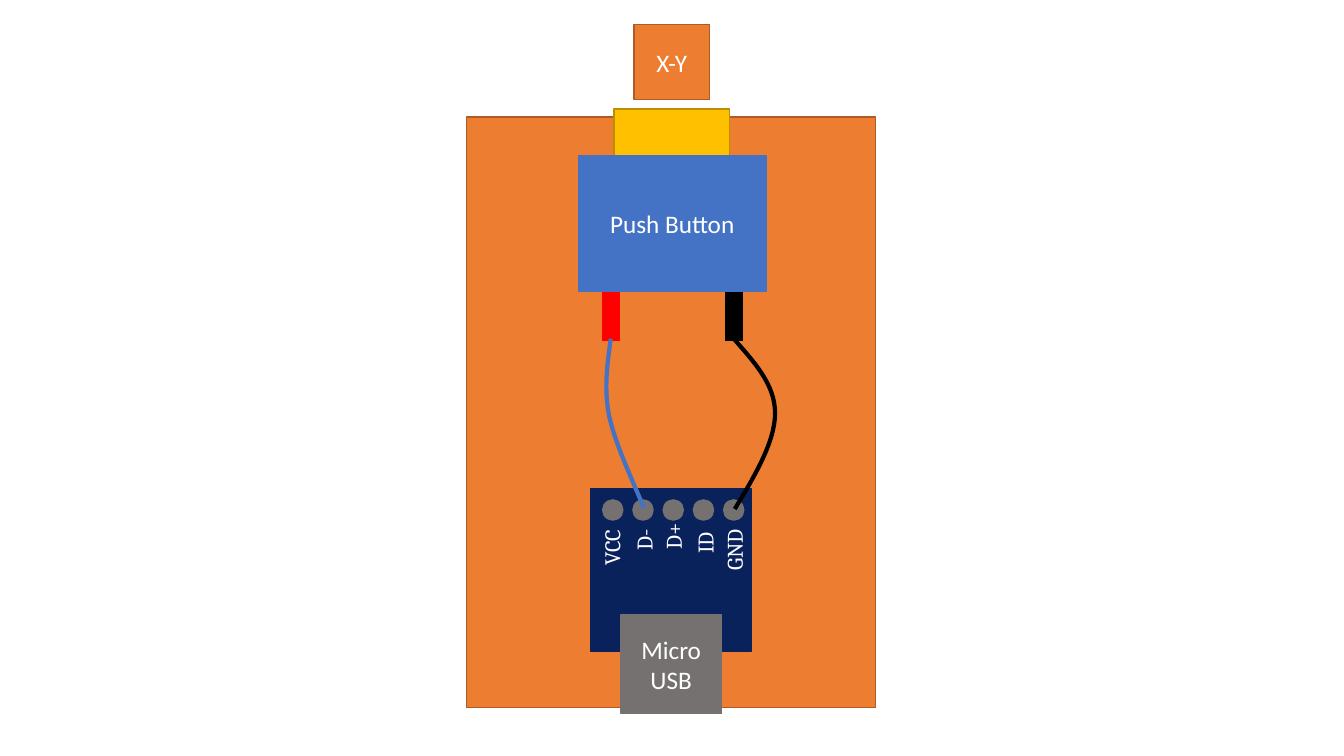
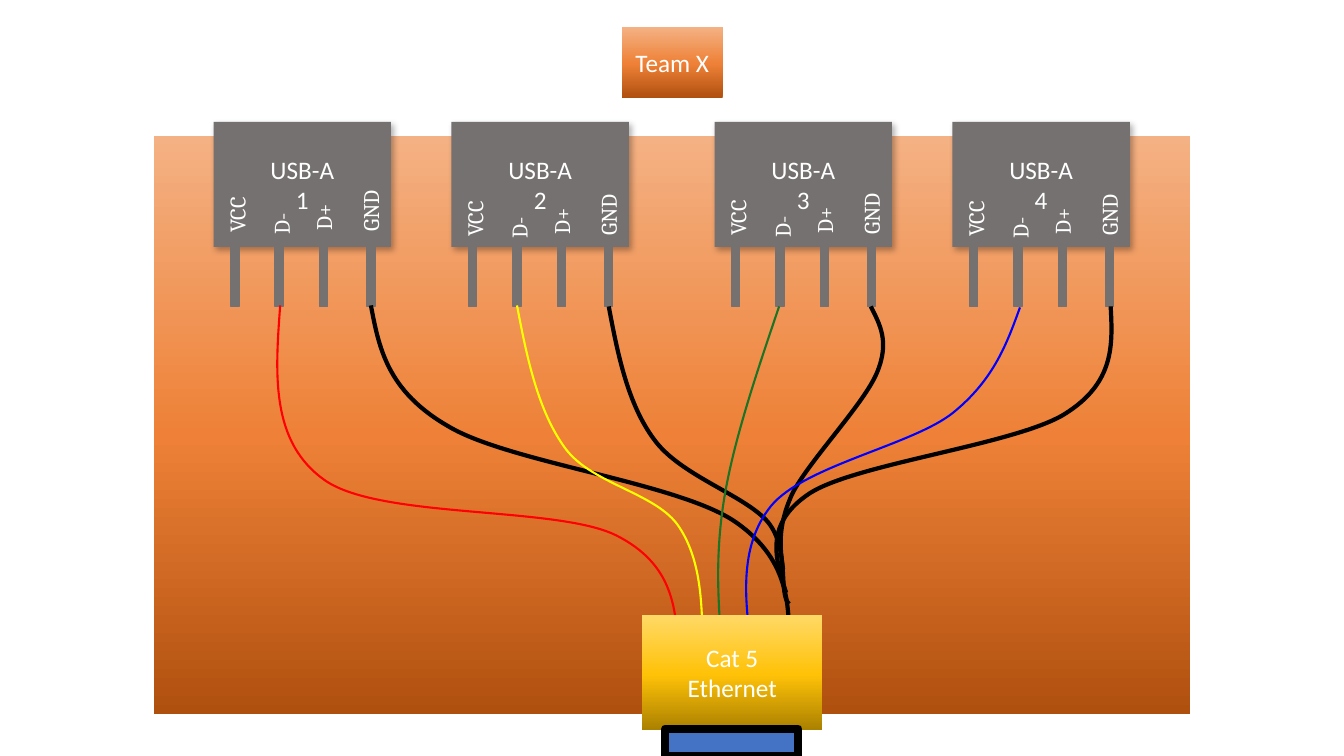
from copy import deepcopy

from lxml import etree
from pptx import Presentation
from pptx import util as u
from pptx.dml.color import RGBColor
from pptx.enum import shapes, text
from pptx.oxml.ns import qn

# Colours
WHITE = RGBColor(0xFF, 0xFF, 0xFF)
BLACK = RGBColor(0x00, 0x00, 0x00)
RED = RGBColor(0xFF, 0x00, 0x00)
YELLOW = RGBColor(0xFF, 0xFF, 0x00)
GREEN = RGBColor(0x1B, 0x73, 0x25)
PURE_BLUE = RGBColor(0x00, 0x00, 0xFF)
BLUE = RGBColor(0x44, 0x72, 0xC4)
NAVY = RGBColor(0x09, 0x22, 0x5B)
GREY = RGBColor(0x76, 0x71, 0x71)
ORANGE = RGBColor(0xED, 0x7D, 0x31)
ORANGE_EDGE = RGBColor(0xAF, 0x5C, 0x24)
GOLD = RGBColor(0xFF, 0xC0, 0x00)
GOLD_EDGE = RGBColor(0xBD, 0x8E, 0x00)

# Gradients from bottom to top
ORANGE_FADE = (RGBColor(0xB0, 0x50, 0x0F), RGBColor(0xEE, 0x81, 0x37),
               RGBColor(0xF4, 0xB1, 0x83))
GOLD_FADE = (RGBColor(0xAB, 0x81, 0x00), RGBColor(0xFF, 0xC2, 0x08),
             RGBColor(0xFF, 0xD9, 0x66))
FADE_POSITIONS = (0, 0.48, 1)

PIN_LABEL_WIDTHS = {"VCC": 0.62, "D-": 0.46, "D+": 0.56, "ID": 0.73, "GND": 0.73}


def grid(*inches):
    """Lengths on the inch grid of the wiring plan."""
    return [u.Cm(2.54 * value) for value in inches]


class Diagram:
    """Style of the wiring diagrams and the slide being drawn."""

    def __init__(self, deck):
        self.deck = deck
        self.slide = self.target = None

    def new_slide(self):
        self.slide = self.deck.slides.add_slide(self.deck.slide_layouts[5])
        self.target = self.slide.shapes

    def start_group(self):
        self.target = self.slide.shapes.add_group_shape().shapes

    def end_group(self):
        self.target = self.slide.shapes

    def add_lines(self, frame, lines, size=18, font="Calibri",
                  align=text.PP_ALIGN.CENTER):
        for number, line in enumerate(lines):
            paragraph = frame.add_paragraph() if number else frame.paragraphs[0]
            paragraph.alignment = align
            run = paragraph.add_run()
            run.text = line
            run.font.size = u.Pt(size)
            run.font.name = font
            run.font.color.rgb = WHITE

    def paint(self, shape, fill, edge=None, width=1):
        shape.shadow.inherit = False
        if isinstance(fill, tuple) and not isinstance(fill, RGBColor):
            self.fade(shape, fill)
        else:
            shape.fill.solid()
            shape.fill.fore_color.rgb = fill
        if edge is None:
            shape.line.fill.background()
        else:
            shape.line.color.rgb = edge
            shape.line.width = u.Pt(width)

    def fade(self, shape, colours):
        shape.fill.gradient()
        shape.fill.gradient_angle = 90
        stops = shape.element.spPr.find(qn("a:gradFill")).find(qn("a:gsLst"))
        stops.append(deepcopy(stops[-1]))
        for stop, colour, position in zip(shape.fill.gradient_stops, colours,
                                          FADE_POSITIONS):
            stop.color.rgb = colour
            stop.position = position

    def title(self, words, box, fill, edge=None):
        heading = self.slide.shapes.title
        heading.left, heading.top, heading.width, heading.height = grid(*box)
        self.paint(heading, fill, edge)
        frame = heading.text_frame
        frame.auto_size = text.MSO_AUTO_SIZE.NONE
        frame.vertical_anchor = text.MSO_ANCHOR.MIDDLE
        self.add_lines(frame, [words])

    def block(self, box, fill, edge=None, lines=(), width=1,
              kind=shapes.MSO_SHAPE.RECTANGLE):
        shape = self.target.add_shape(kind, *grid(*box))
        self.paint(shape, fill, edge, width)
        self.add_lines(shape.text_frame, lines)
        return shape

    def drop_shadow(self, shape):
        effects = shape.element.spPr.find(qn("a:effectLst"))
        shadow = etree.SubElement(effects, qn("a:outerShdw"), blurRad="57150",
                                  dist="33020", dir="3180000", algn="tl",
                                  rotWithShape="0")
        colour = etree.SubElement(shadow, qn("a:srgbClr"), val=str(BLACK))
        etree.SubElement(colour, qn("a:alpha"), val="30000")

    def pin_label(self, words, left, top):
        label = self.target.add_textbox(
            *grid(left, top, PIN_LABEL_WIDTHS[words], 0.37))
        label.rotation = 270
        label.text_frame.word_wrap = True
        label.text_frame.auto_size = text.MSO_AUTO_SIZE.SHAPE_TO_FIT_TEXT
        self.add_lines(label.text_frame, [words], 16, "Cambria",
                       text.PP_ALIGN.RIGHT)

    def wire(self, colour, width, start, *controls):
        """Smooth wire: every three control points make one Bezier curve."""
        builder = self.slide.shapes.build_freeform(*grid(*start))
        builder.add_line_segments([grid(*point) for point in controls],
                                  close=False)
        shape = builder.convert_to_shape()
        shape.shadow.inherit = False
        shape.fill.background()
        shape.line.color.rgb = colour
        shape.line.width = u.Pt(width)
        outline = shape.element.spPr.find(".//" + qn("a:path"))
        segments = outline.findall(qn("a:lnTo"))
        for first in range(0, len(segments), 3):
            curve = etree.SubElement(outline, qn("a:cubicBezTo"))
            for segment in segments[first:first + 3]:
                curve.append(segment[0])
                outline.remove(segment)


deck = Presentation()
deck.slide_width, deck.slide_height = u.Cm(33.87), u.Cm(19.05)
diagram = Diagram(deck)

# Slide 1: push button wired to a micro USB board
diagram.new_slide()
diagram.title("X-Y", (6.29, 0.24, 0.75, 0.75), ORANGE, ORANGE_EDGE)
diagram.block((4.63, 1.16, 4.06, 5.86), ORANGE, ORANGE_EDGE)

# USB board with its five contacts
diagram.start_group()
diagram.block((5.86, 4.85, 1.6, 1.61), NAVY, NAVY)
for contact in range(5):
    diagram.block((5.98 + 0.3 * contact, 4.96, 0.2, 0.2), GREY, GREY,
                  kind=shapes.MSO_SHAPE.OVAL)
for name, left, top in [("VCC", 5.76, 5.28), ("D-", 6.16, 5.2),
                        ("D+", 6.4, 5.19), ("ID", 6.63, 5.36),
                        ("GND", 6.92, 5.33)]:
    diagram.pin_label(name, left, top)
diagram.end_group()
diagram.block((6.16, 6.1, 1, 0.98), GREY, GREY, ["Micro USB"])

# Push button with its two legs
diagram.start_group()
for left, leg_colour in [(5.98, RED), (7.2, BLACK)]:
    diagram.block((left, 2.9, 0.17, 0.48), leg_colour, leg_colour)
diagram.block((6.09, 1.08, 1.15, 0.47), GOLD, GOLD_EDGE)
diagram.block((5.74, 1.54, 1.86, 1.35), BLUE, BLUE, ["Push Button"])
diagram.end_group()

diagram.wire(BLACK, 3, (7.28, 3.36), (7.48, 3.59), (7.69, 3.81), (7.69, 4.1),
             (7.69, 4.38), (7.49, 4.72), (7.29, 5.05))
diagram.wire(BLUE, 3, (6.06, 3.36), (6.03, 3.59), (5.99, 3.83), (6.04, 4.11),
             (6.1, 4.39), (6.25, 4.71), (6.39, 5.04))

# Slide 2: four USB-A ports joined in one Ethernet cable
diagram.new_slide()
diagram.title("Team X", (6.17, 0.27, 1, 0.7), ORANGE_FADE)
diagram.block((1.53, 1.35, 10.28, 5.73), ORANGE_FADE)

# Ports: left edge and how far the pin labels drop
PORTS = [(2.12, 0), (4.48, 0.04), (7.09, 0.03), (9.45, 0.04)]
# Pins: name, pin offset, label offset, label top
PINS = [("VCC", 0.17, -0.08, 1.98), ("D-", 0.61, 0.44, 2.06),
        ("D+", 1.05, 0.81, 2.02), ("GND", 1.52, 1.19, 1.97)]
for number, (port_left, drop) in enumerate(PORTS, 1):
    port = diagram.block((port_left, 1.21, 1.76, 1.24), GREY,
                         lines=["USB-A", str(number)])
    diagram.drop_shadow(port)
    for name, pin_offset, label_offset, label_top in PINS:
        diagram.block((port_left + pin_offset, 2.45, 0.08, 0.59), GREY, GREY)
        diagram.pin_label(name, port_left + label_offset, label_top + drop)

# Ground wires
GROUND_WIRES = [
    [(3.68, 3.03), (3.76, 3.45), (3.84, 3.88), (4.45, 4.23), (5.05, 4.59),
     (6.74, 4.79), (7.3, 5.18), (7.86, 5.57), (7.84, 6.06), (7.82, 6.55)],
    [(6.04, 3.04), (6.13, 3.52), (6.23, 4.01), (6.49, 4.36), (6.75, 4.72),
     (7.39, 4.91), (7.62, 5.18), (7.84, 5.45), (7.72, 5.9), (7.83, 5.99)],
    [(8.64, 3.04), (8.73, 3.22), (8.83, 3.39), (8.7, 3.7), (8.57, 4.01),
     (8.02, 4.58), (7.86, 4.9), (7.71, 5.23), (7.74, 5.44), (7.77, 5.65)],
    [(11.02, 3.04), (11.04, 3.42), (11.06, 3.8), (10.56, 4.11), (10.07, 4.41),
     (8.5, 4.6), (8.04, 4.89), (7.58, 5.19), (7.69, 5.54), (7.8, 5.88)],
]
for points in GROUND_WIRES:
    diagram.wire(BLACK, 3, *points)

# Data wires
DATA_WIRES = [
    (PURE_BLUE, [(10.12, 3.05), (9.99, 3.41), (9.86, 3.77), (9.45, 4.1),
                 (9.04, 4.42), (7.98, 4.62), (7.65, 5.02), (7.32, 5.43),
                 (7.39, 5.98), (7.47, 6.53)]),
    (GREEN, [(7.73, 3.04), (7.5, 3.72), (7.27, 4.4), (7.18, 4.98),
             (7.09, 5.56), (7.13, 6.04), (7.17, 6.52)]),
    (YELLOW, [(5.13, 3.03), (5.23, 3.56), (5.34, 4.08), (5.61, 4.45),
              (5.88, 4.81), (6.52, 4.89), (6.74, 5.23), (6.97, 5.58),
              (6.97, 6.05), (6.97, 6.52)]),
    (RED, [(2.78, 3.03), (2.73, 3.71), (2.68, 4.39), (3.23, 4.77),
           (3.79, 5.15), (5.52, 5.02), (6.11, 5.31), (6.69, 5.6),
           (6.71, 6.05), (6.73, 6.5)]),
]
for colour, points in DATA_WIRES:
    diagram.wire(colour, 1.5, *points)

# Ethernet plug and cable
diagram.block((6.37, 6.1, 1.79, 1.14), GOLD_FADE, lines=["Cat 5", "Ethernet"])
diagram.block((6.6, 7.23, 1.32, 0.27), BLUE, BLACK, width=6)

deck.save("out.pptx")
